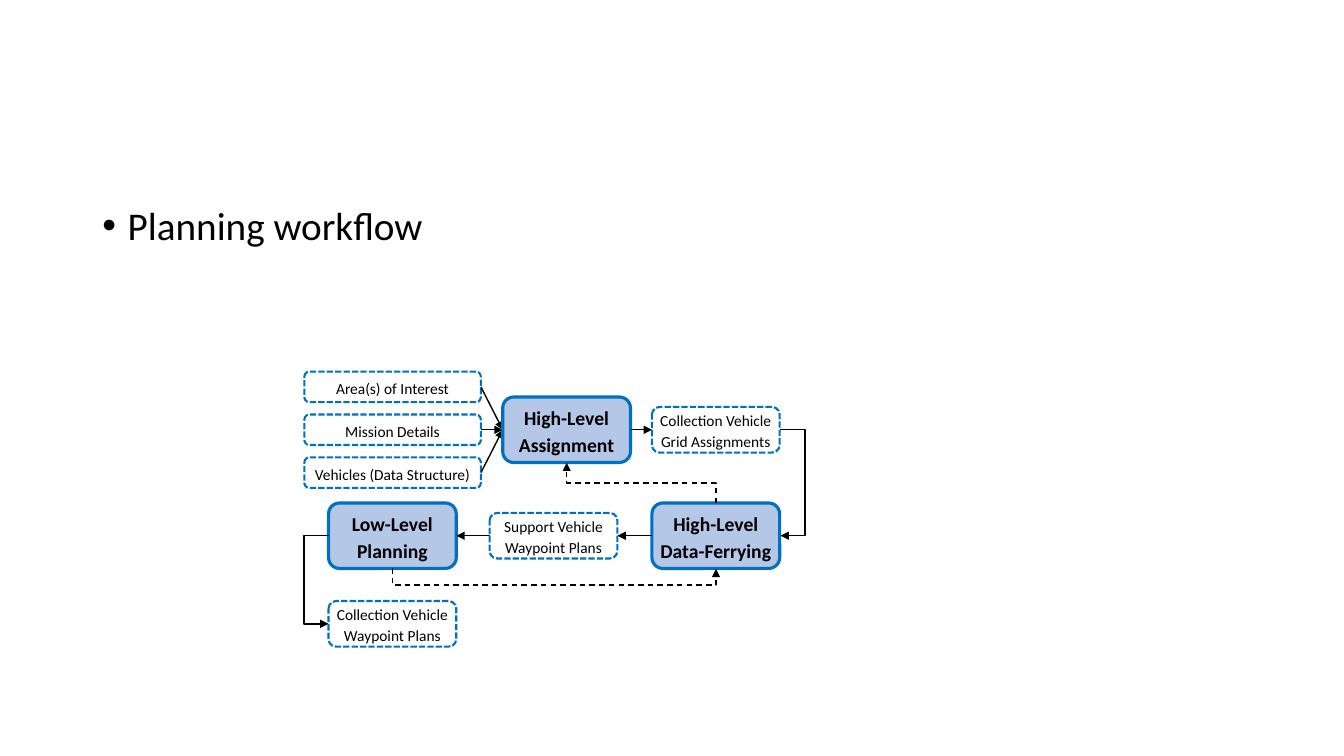
import pptx
import pptx.util
import pptx.dml.color
import pptx.enum.dml
import pptx.enum.shapes
import pptx.enum.text
import pptx.oxml.ns
import lxml.etree

Cm, Pt = pptx.util.Cm, pptx.util.Pt
RGB = pptx.dml.color.RGBColor.from_string
Dash = pptx.enum.dml.MSO_LINE
Link = pptx.enum.shapes.MSO_CONNECTOR
qn = pptx.oxml.ns.qn
COLORS = {"ink": "000000", "edge": "0070C0", "step": "B4C7E7", "data": "FFFFFF"}

deck = pptx.Presentation()
deck.slide_width, deck.slide_height = Cm(33.87), Cm(19.05)
slide = deck.slides.add_slide(deck.slide_layouts[6])


def add_box(text, left, mid, width, height, step=False):
    """Add a box centred on the height mid: a solid step or a dashed data box."""
    box = slide.shapes.add_shape(
        pptx.enum.shapes.MSO_SHAPE.ROUNDED_RECTANGLE,
        Cm(left), Cm(mid - height / 2), Cm(width), Cm(height))
    box.shadow.inherit = False
    box.fill.solid()
    box.fill.fore_color.rgb = RGB(COLORS["step" if step else "data"])
    box.line.color.rgb = RGB(COLORS["edge"])
    box.line.width = Pt(2.25 if step else 1.5)
    if not step:
        box.line.dash_style = Dash.SQUARE_DOT
    frame = box.text_frame
    frame.word_wrap = True
    frame.vertical_anchor = pptx.enum.text.MSO_ANCHOR.MIDDLE
    frame.margin_left = frame.margin_right = frame.margin_top = frame.margin_bottom = 0
    par = frame.paragraphs[0]
    par.text = text
    par.alignment = pptx.enum.text.PP_ALIGN.CENTER
    par.line_spacing = 1.15
    par.space_after = Pt(10)
    par.font.name = "Calibri"
    par.font.size = Pt(14 if step else 11)
    par.font.bold = step
    par.font.color.rgb = RGB(COLORS["ink"])


def add_arrow(kind, x1, y1, x2, y2, dashed=False):
    arrow = slide.shapes.add_connector(kind, Cm(x1), Cm(y1), Cm(x2), Cm(y2))
    arrow.line.color.rgb = RGB(COLORS["ink"])
    arrow.line.width = Pt(1)
    if dashed:
        arrow.line.dash_style = Dash.DASH
    props = arrow._element.spPr
    lxml.etree.SubElement(props.find(qn("a:ln")), qn("a:tailEnd"), type="triangle")
    lxml.etree.SubElement(props, qn("a:effectLst"))
    return props


# Heading
head = slide.shapes.add_textbox(Cm(2.33), Cm(5.08), Cm(29.21), Cm(12.09))
head.text_frame.word_wrap = True
par = head.text_frame.paragraphs[0]
par.text = "Planning workflow"
par.line_spacing = 0.9
par.space_before = Pt(10)
par.font.name = "Calibri"
par.font.size = Pt(28)
par.font.color.rgb = RGB(COLORS["ink"])
props = par._p.get_or_add_pPr()
props.set("marL", str(Cm(0.64)))
props.set("indent", str(-Cm(0.64)))
font = lxml.etree.SubElement(props, qn("a:buFont"), typeface="Arial")
font.addnext(props.makeelement(qn("a:buChar"), {"char": "•"}))

# Rows are centre heights, columns are left edges
TOP, MID, LOW = 10.83, 13.5, 15.72
LEFT, CENTER, ASSIGN, RIGHT = 8.28, 12.34, 12.67, 16.43
WIDE, STEP, DATA = 3.22, 1.65, 1.15
IN_LEFT, IN_WIDE, IN_HIGH, IN_GAP = 7.67, 4.45, 0.77, 1.08

inputs = ["Area(s) of Interest", "Mission Details", "Vehicles (Data Structure)"]
for i, text in enumerate(inputs):
    mid = TOP + (i - 1) * IN_GAP
    add_box(text, IN_LEFT, mid, IN_WIDE, IN_HIGH)
    add_arrow(Link.STRAIGHT, IN_LEFT + IN_WIDE, mid, ASSIGN, TOP)

for text, left, mid in [
    ("High-Level Assignment", ASSIGN, TOP),
    ("High-Level Data-Ferrying", RIGHT, MID),
    ("Low-Level Planning", LEFT, MID),
]:
    add_box(text, left, mid, WIDE, STEP, step=True)

for text, left, mid in [
    ("Collection Vehicle Grid Assignments", RIGHT, TOP),
    ("Support Vehicle Waypoint Plans", CENTER, MID),
    ("Collection Vehicle Waypoint Plans", LEFT, LOW),
]:
    add_box(text, left, mid, WIDE, DATA)

for x1, x2, y in [
    (ASSIGN + WIDE, RIGHT, TOP),
    (RIGHT, CENTER + WIDE, MID),
    (CENTER, LEFT + WIDE, MID),
]:
    add_arrow(Link.STRAIGHT, x1, y, x2, y)

# Elbows: ends before turning, turn in degrees, bend as a share of the width
for x1, y1, x2, y2, turn, bend, dashed in [
    (19.65, TOP, 19.67, MID, 0, 32, False),
    (8.28, LOW, 8.3, MID, 180, 32, False),
    (15.65, 14.05, 16.67, 10.29, 270, 0.5, True),
    (13.98, 10.25, 13.96, 18.4, 270, 21.5, True),
]:
    props = add_arrow(Link.ELBOW, x1, y1, x2, y2, dashed)
    props.find(qn("a:xfrm")).set("rot", str(turn * 60000))
    guides = props.find(qn("a:prstGeom")).get_or_add_avLst()
    lxml.etree.SubElement(guides, qn("a:gd"), name="adj1",
                          fmla=f"val {int(bend * 100000)}")

deck.save("out.pptx")
